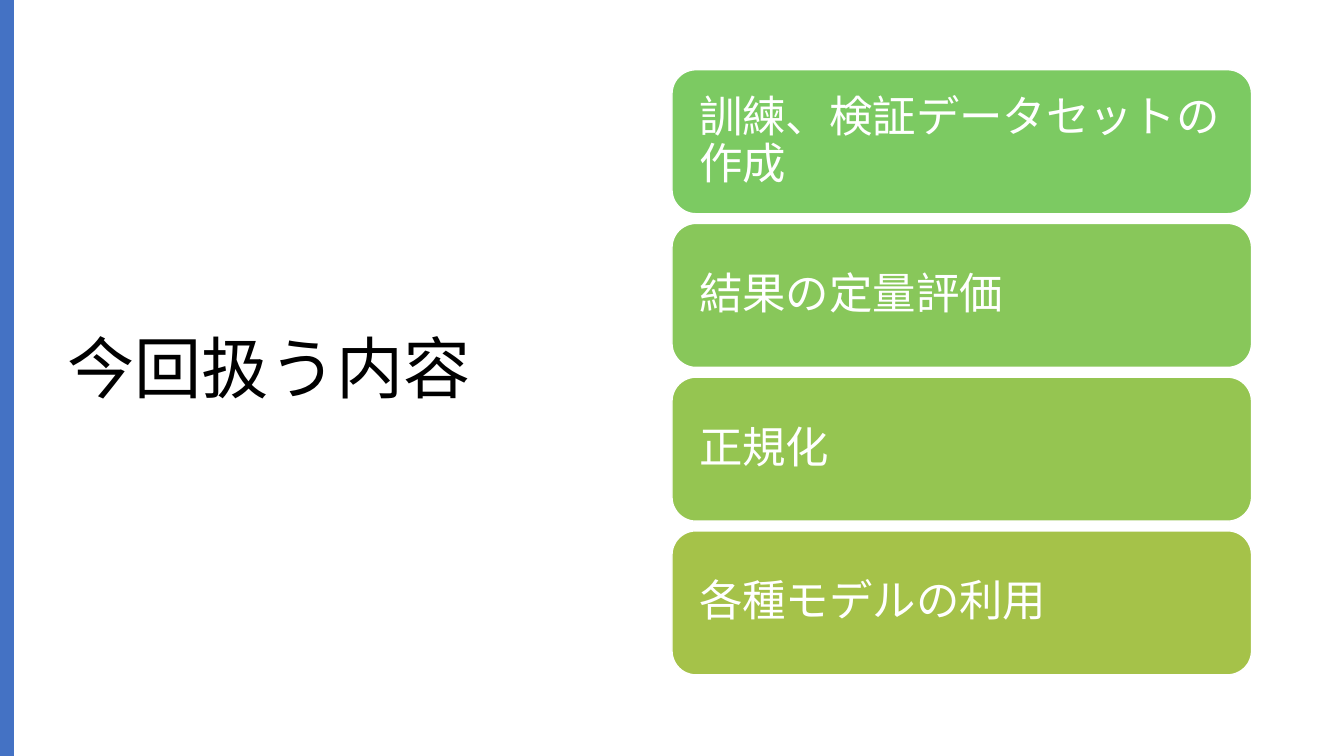
"""Build the agenda slide with a title and four topic cards."""
from typing import NamedTuple

import pptx
import pptx.dml.color
import pptx.enum.shapes
import pptx.enum.text
import pptx.util

Pt = pptx.util.Pt
SHAPES = pptx.enum.shapes.MSO_SHAPE


class Topic(NamedTuple):
    """A topic and its card colour."""
    label: str
    fill: str


TOPICS = [
    Topic("訓練、検証データセットの作成", "7CCA62"),
    Topic("結果の定量評価", "88C75A"),
    Topic("正規化", "95C551"),
    Topic("各種モデルの利用", "A5C249"),
]
CARD_LEFT, CARD_TOP, CARD_WIDTH, CARD_HEIGHT = 480, 49.8, 414, 102.9
CARD_PITCH = 109.8


def rgb(value: str) -> pptx.dml.color.RGBColor:
    """Turn a hex string into a colour."""
    return pptx.dml.color.RGBColor.from_string(value)


def write(shape, text: str, *, size: float, color: str, inset: float) -> None:
    """Put left-aligned, vertically centred text into a shape."""
    frame = shape.text_frame
    frame.word_wrap = True
    frame.auto_size = pptx.enum.text.MSO_AUTO_SIZE.NONE
    frame.vertical_anchor = pptx.enum.text.MSO_ANCHOR.MIDDLE
    frame.margin_left = frame.margin_right = Pt(inset)
    paragraph = frame.paragraphs[0]
    paragraph.alignment = pptx.enum.text.PP_ALIGN.LEFT
    paragraph.line_spacing = 0.9
    run = paragraph.add_run()
    run.text = text
    run.font.name = "Arial"
    run.font.size = Pt(size)
    run.font.color.rgb = rgb(color)


def add_block(slide, kind, left: float, top: float, width: float, height: float, fill: str):
    """Add a plain filled shape without outline or shadow."""
    block = slide.shapes.add_shape(kind, Pt(left), Pt(top), Pt(width), Pt(height))
    block.shadow.inherit = False
    block.fill.solid()
    block.fill.fore_color.rgb = rgb(fill)
    block.line.fill.background()
    return block


def add_card(slide, topic: Topic, top: float) -> None:
    """Add a rounded card with a white outline for one topic."""
    card = add_block(slide, SHAPES.ROUNDED_RECTANGLE,
                     CARD_LEFT, top, CARD_WIDTH, CARD_HEIGHT, topic.fill)
    card.line.color.rgb = rgb("FFFFFF")
    card.line.width = Pt(1)
    write(card, topic.label, size=31, color="FFFFFF", inset=14.4)


def main() -> None:
    """Build and save the slide."""
    deck = pptx.Presentation()
    deck.slide_width, deck.slide_height = Pt(960), Pt(540)
    slide = deck.slides.add_slide(deck.slide_layouts[5])

    title = slide.shapes.title
    title.left, title.top, title.width, title.height = Pt(41), Pt(49), Pt(408), Pt(433.4)
    write(title, "今回扱う内容", size=48, color="000000", inset=7.2)

    add_block(slide, SHAPES.RECTANGLE, 0, 0, 10, 540, "4472C4")
    for row, topic in enumerate(TOPICS):
        add_card(slide, topic, CARD_TOP + row * CARD_PITCH)

    deck.save("out.pptx")


main()
